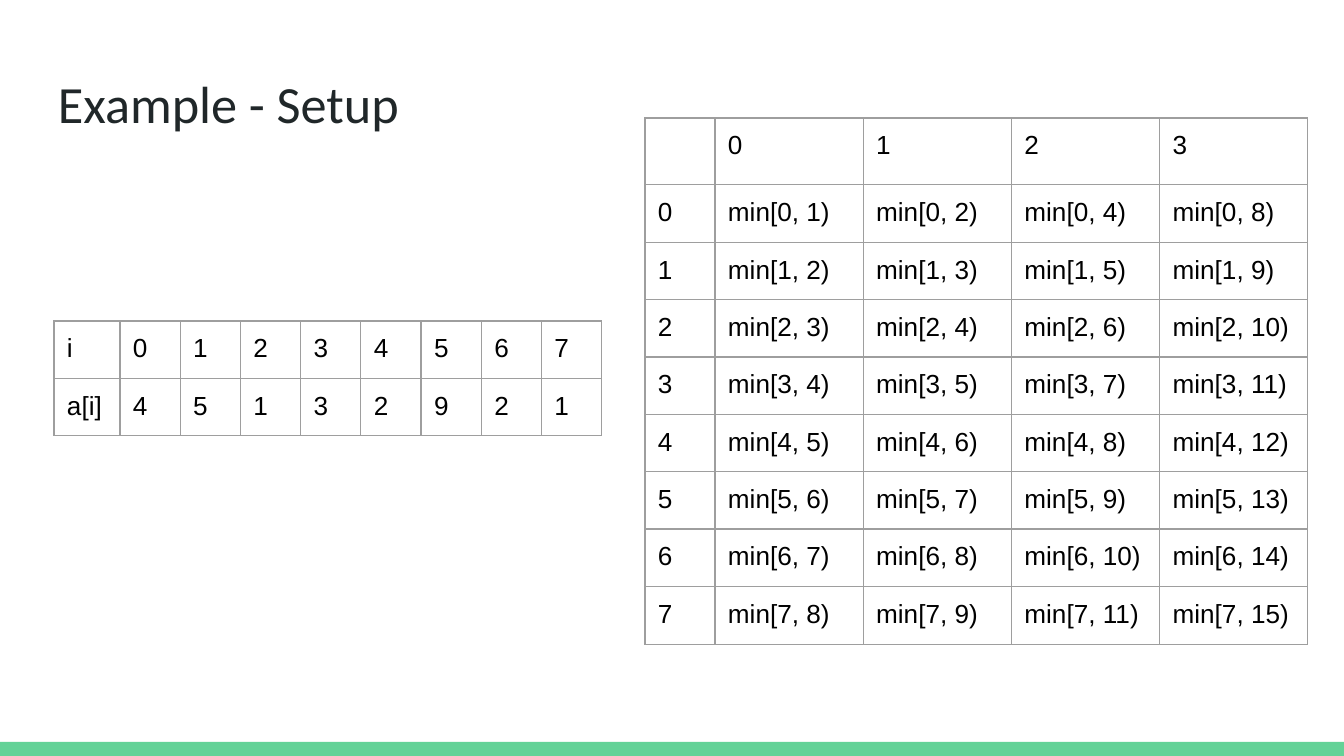
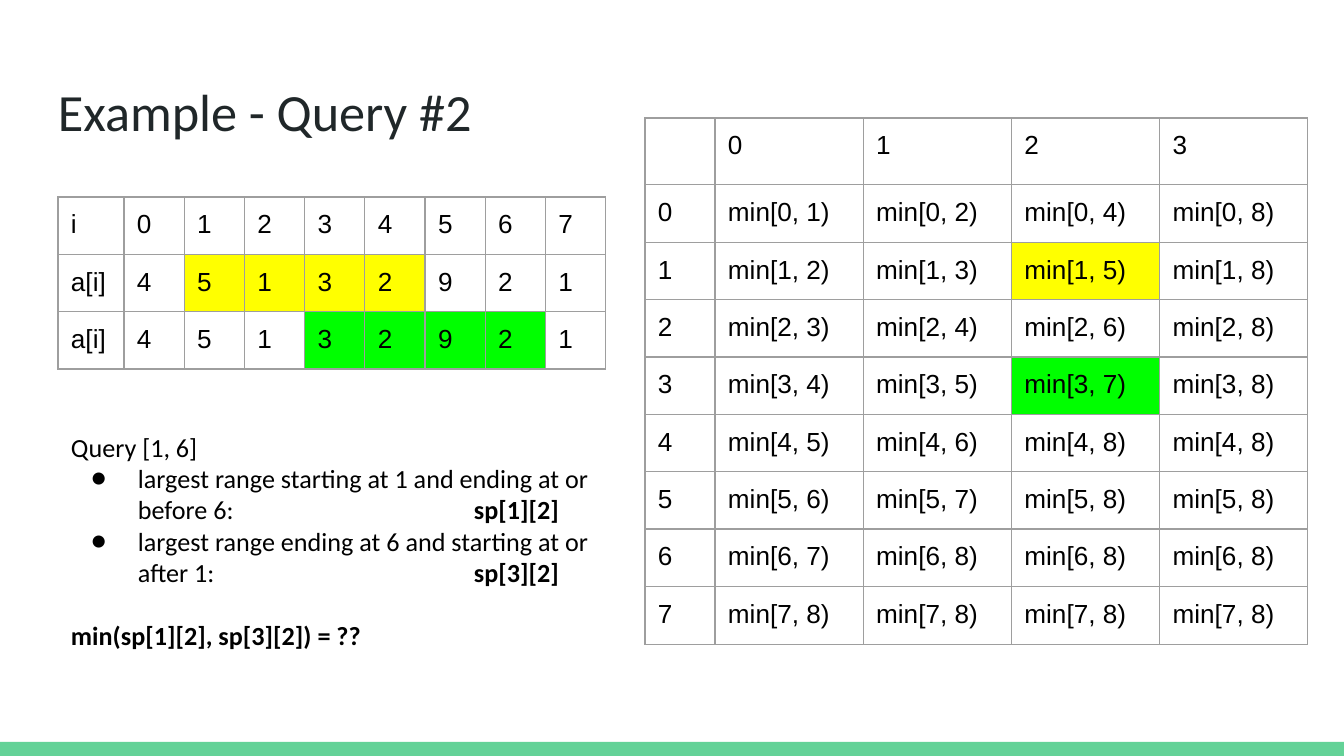
"""Build two slides that explain a sparse table for range minimum queries."""
from lxml.etree import SubElement
from pptx import Presentation
from pptx.dml.color import RGBColor
from pptx.enum.shapes import MSO_SHAPE
from pptx.enum.text import MSO_ANCHOR
from pptx.oxml.ns import qn
from pptx.util import Emu, Pt

INDICES = ["i", *range(8)]
VALUES = ["a[i]", 4, 5, 1, 3, 2, 9, 2, 1]
POWERS = range(4)
YELLOW, GREEN = "FFFF00", "00FF00"
BLACK, TITLE_COLOR, BAND_COLOR, BORDER_COLOR = "000000", "202729", "63D297", "9E9E9E"

SLIDES = [
    {
        "title": "Example - Setup",
        "title_top": 58,
        "array_at": (54, 321),
        "array_rows": [INDICES, VALUES],
        "array_fills": {},
        "range_limit": 15,
        "range_fills": {},
        "query": [],
    },
    {
        "title": "Example - Query #2",
        "title_top": 66,
        "array_at": (58, 197),
        "array_rows": [INDICES, VALUES, VALUES],
        "array_fills": {
            **{(1, column): YELLOW for column in range(2, 6)},
            **{(2, column): GREEN for column in range(4, 8)},
        },
        "range_limit": 8,
        "range_fills": {(2, 3): YELLOW, (4, 3): GREEN},
        "query": [
            {"runs": [("Query [1, 6]", False)]},
            {"runs": [("largest range starting at 1 and ending at or before 6: \t\t", False),
                      ("sp[1][2]", True)], "bullet": True},
            {"runs": [("largest range ending at 6 and starting at or after 1: \t\t", False),
                      ("sp[3][2]", True)], "bullet": True},
            {"runs": [("min(sp[1][2], sp[3][2]) = ??", True)], "space_before": 17},
        ],
    },
]

WIDTH, HEIGHT = 1344, 756
SCALE = 9144000 / WIDTH
INSET = 13
ARRAY_WIDTH, ARRAY_LABEL, ARRAY_ROW = 548, 66, 56
RANGE_AT, RANGE_WIDTH, RANGE_LABEL = (645, 118), 663, 70
RANGE_ROWS = [58, 58, *[47] * 6, 58]
TAB_STOPS = (269, 403)


def px(length):
    return Emu(round(length * SCALE))


def color(value):
    return RGBColor.from_string(value)


def style_run(run, font, size, hex_color, bold=False):
    run.font.name, run.font.size, run.font.bold = font, Pt(size), bold
    run.font.color.rgb = color(hex_color)


def add_band(slide):
    band = slide.shapes.add_shape(MSO_SHAPE.RECTANGLE, 0, px(742), px(WIDTH), px(14))
    band.shadow.inherit = False
    band.fill.solid()
    band.fill.fore_color.rgb = color(BAND_COLOR)
    band.line.fill.background()


def add_text_frame(slide, *box):
    frame = slide.shapes.add_textbox(*map(px, box)).text_frame
    frame.word_wrap = True
    frame.vertical_anchor = MSO_ANCHOR.TOP
    frame.margin_left = frame.margin_right = frame.margin_top = frame.margin_bottom = px(INSET)
    return frame


def add_title(slide, title, top):
    paragraph = add_text_frame(slide, 45, top, 1253, 84).paragraphs[0]
    paragraph.text = title
    style_run(paragraph.runs[0], "Calibri", 28, TITLE_COLOR)


def add_bullet(paragraph):
    properties = paragraph._p.get_or_add_pPr()
    properties.set("marL", str(px(67)))
    properties.set("indent", str(px(-47)))
    SubElement(SubElement(properties, qn("a:buClr")), qn("a:srgbClr"), val=BLACK)
    SubElement(properties, qn("a:buFont"), typeface="Calibri")
    SubElement(properties, qn("a:buChar"), char="●")
    tabs = SubElement(properties, qn("a:tabLst"))
    for stop in TAB_STOPS:
        SubElement(tabs, qn("a:tab"), pos=str(px(stop)), algn="l")


def add_query(slide, lines):
    frame = add_text_frame(slide, 58, 418, 547, 87)
    for number, line in enumerate(lines):
        paragraph = frame.add_paragraph() if number else frame.paragraphs[0]
        if line.get("bullet"):
            add_bullet(paragraph)
        if "space_before" in line:
            paragraph.space_before = Pt(line["space_before"])
        for text, bold in line["runs"]:
            run = paragraph.add_run()
            run.text = text
            style_run(run, "Calibri", 14, BLACK, bold)


def style_cell(cell, text, fill):
    cell.margin_left = cell.margin_right = cell.margin_top = cell.margin_bottom = px(INSET)
    properties = cell._tc.get_or_add_tcPr()
    for side in ("lnL", "lnR", "lnT", "lnB"):
        line = SubElement(properties, qn(f"a:{side}"), w=str(Pt(0.75)))
        SubElement(SubElement(line, qn("a:solidFill")), qn("a:srgbClr"), val=BORDER_COLOR)
    if fill:
        cell.fill.solid()
        cell.fill.fore_color.rgb = color(fill)
    else:
        cell.fill.background()
    paragraph = cell.text_frame.paragraphs[0]
    if text == "":
        ending = SubElement(paragraph._p, qn("a:endParaRPr"), sz="1800")
        SubElement(ending, qn("a:latin"), typeface="Arial")
    else:
        paragraph.text = str(text)
        style_run(paragraph.runs[0], "Arial", 14, BLACK)


def add_grid(slide, at, rows, fills, width, label_width, row_heights):
    left, top = at
    count = len(rows[0])
    frame = slide.shapes.add_table(
        len(rows), count, px(left), px(top), px(width), px(sum(row_heights)))
    table = frame.table
    table.first_row = table.horz_banding = False
    for index, column in enumerate(table.columns):
        column.width = px((width - label_width) / (count - 1) if index else label_width)
    for row_index, (texts, height) in enumerate(zip(rows, row_heights)):
        table.rows[row_index].height = px(height)
        for column_index, text in enumerate(texts):
            style_cell(table.cell(row_index, column_index), text,
                       fills.get((row_index, column_index)))


def range_rows(limit):
    body = [[start, *(f"min[{start}, {min(start + 2 ** power, limit)})" for power in POWERS)]
            for start in range(8)]
    return [["", *POWERS], *body]


def main():
    presentation = Presentation()
    presentation.slide_width, presentation.slide_height = px(WIDTH), px(HEIGHT)
    for content in SLIDES:
        slide = presentation.slides.add_slide(presentation.slide_layouts[6])
        add_band(slide)
        add_title(slide, content["title"], content["title_top"])
        if content["query"]:
            add_query(slide, content["query"])
        array = content["array_rows"]
        add_grid(slide, content["array_at"], array, content["array_fills"],
                 ARRAY_WIDTH, ARRAY_LABEL, [ARRAY_ROW] * len(array))
        add_grid(slide, RANGE_AT, range_rows(content["range_limit"]), content["range_fills"],
                 RANGE_WIDTH, RANGE_LABEL, RANGE_ROWS)
    presentation.save("out.pptx")


if __name__ == "__main__":
    main()
